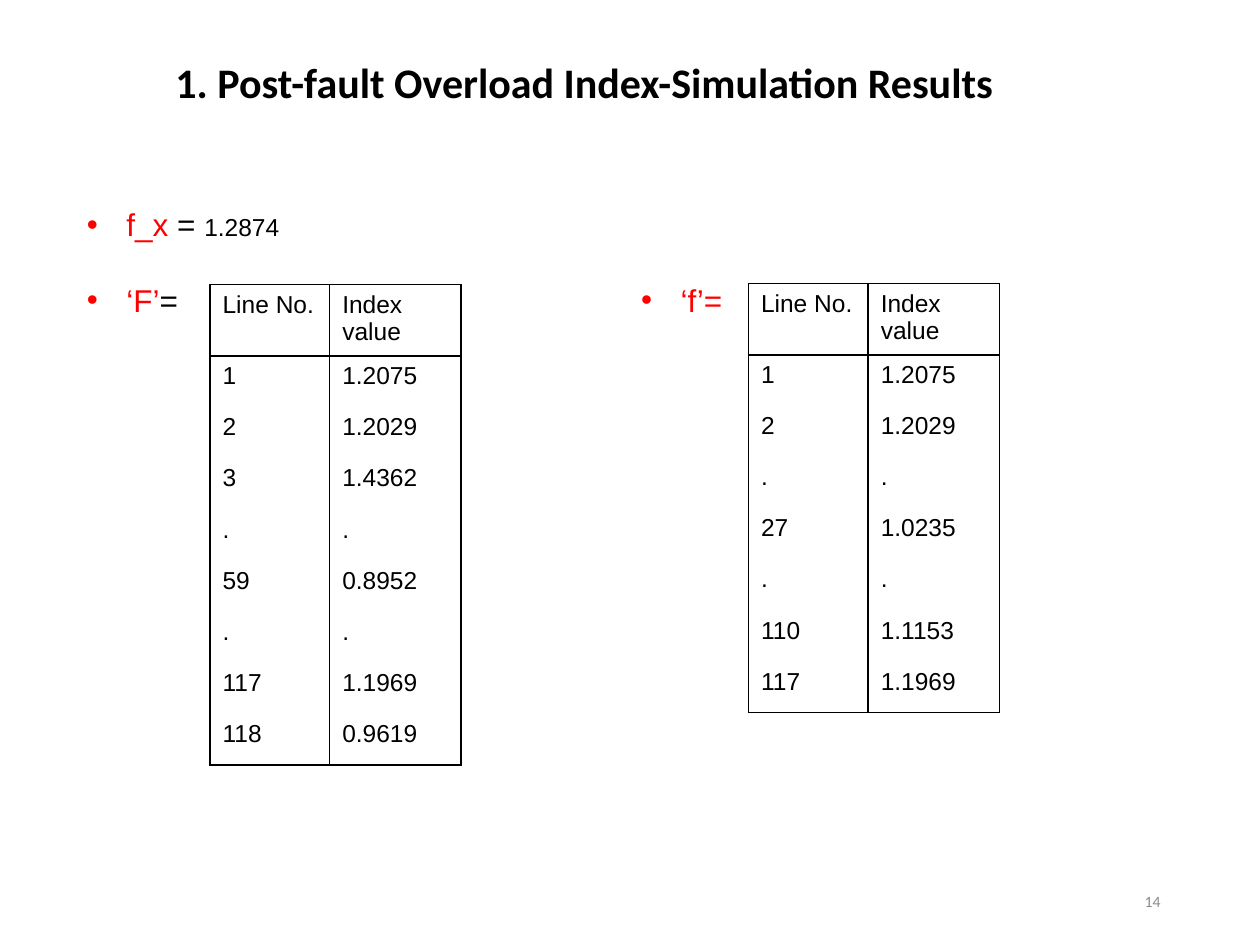
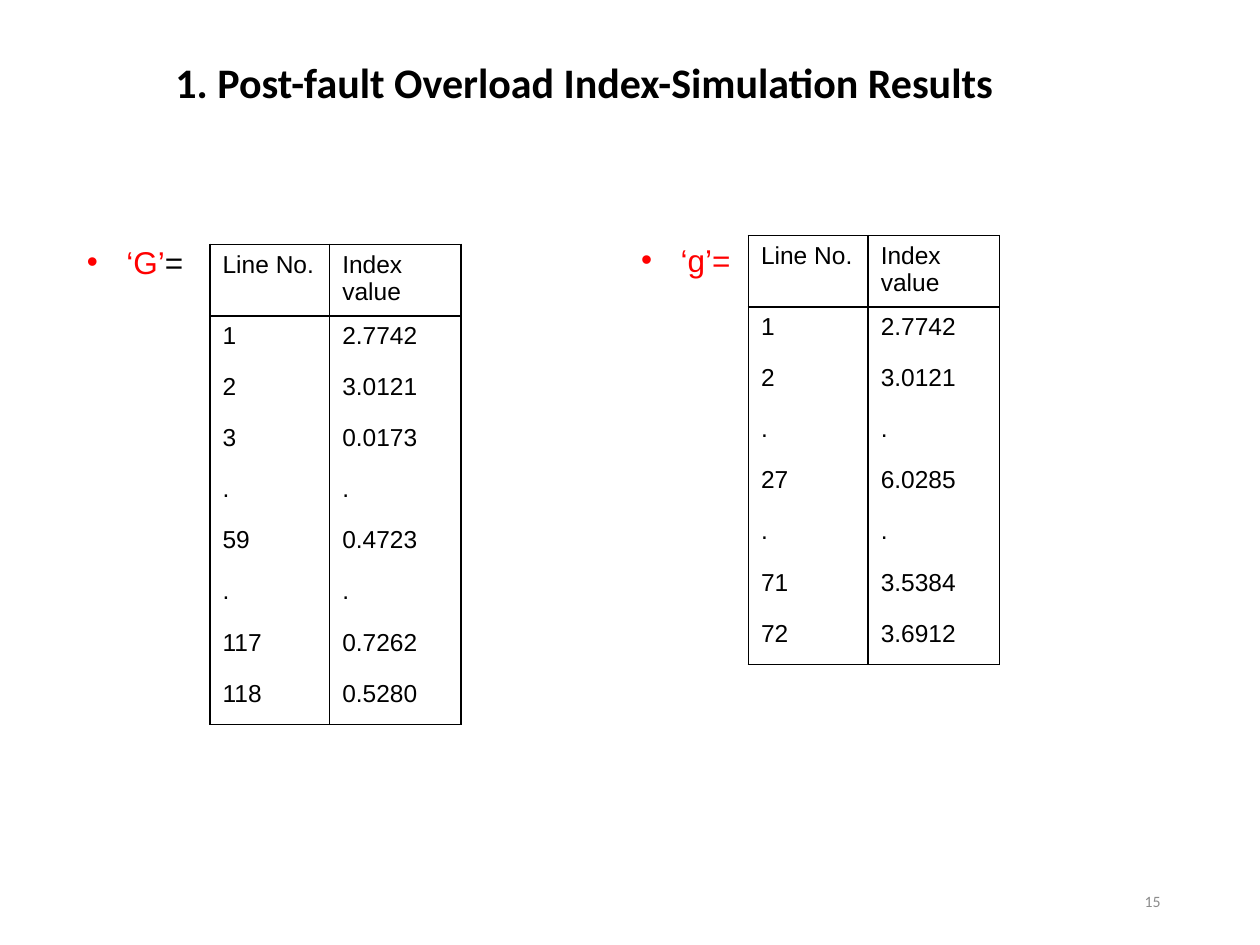
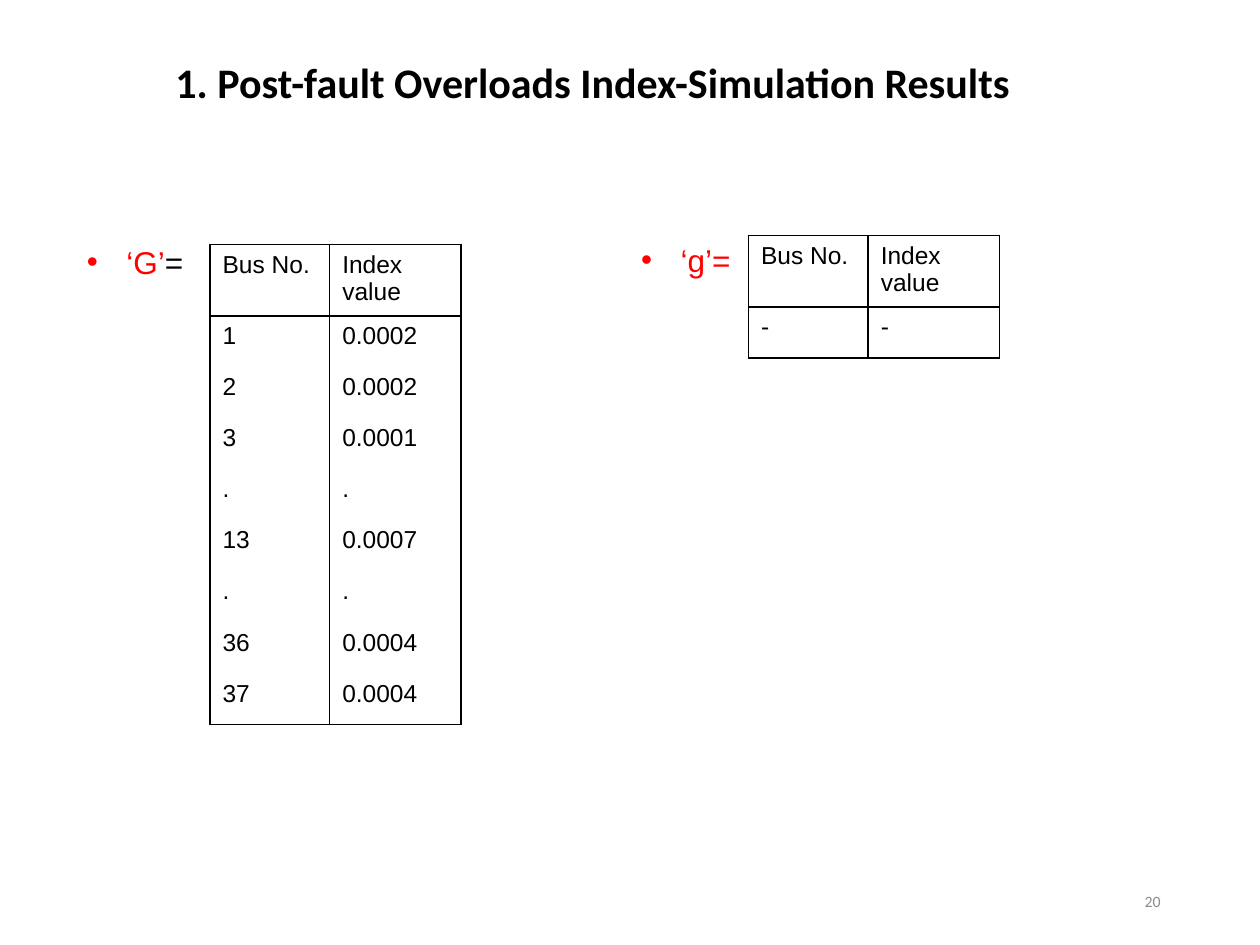
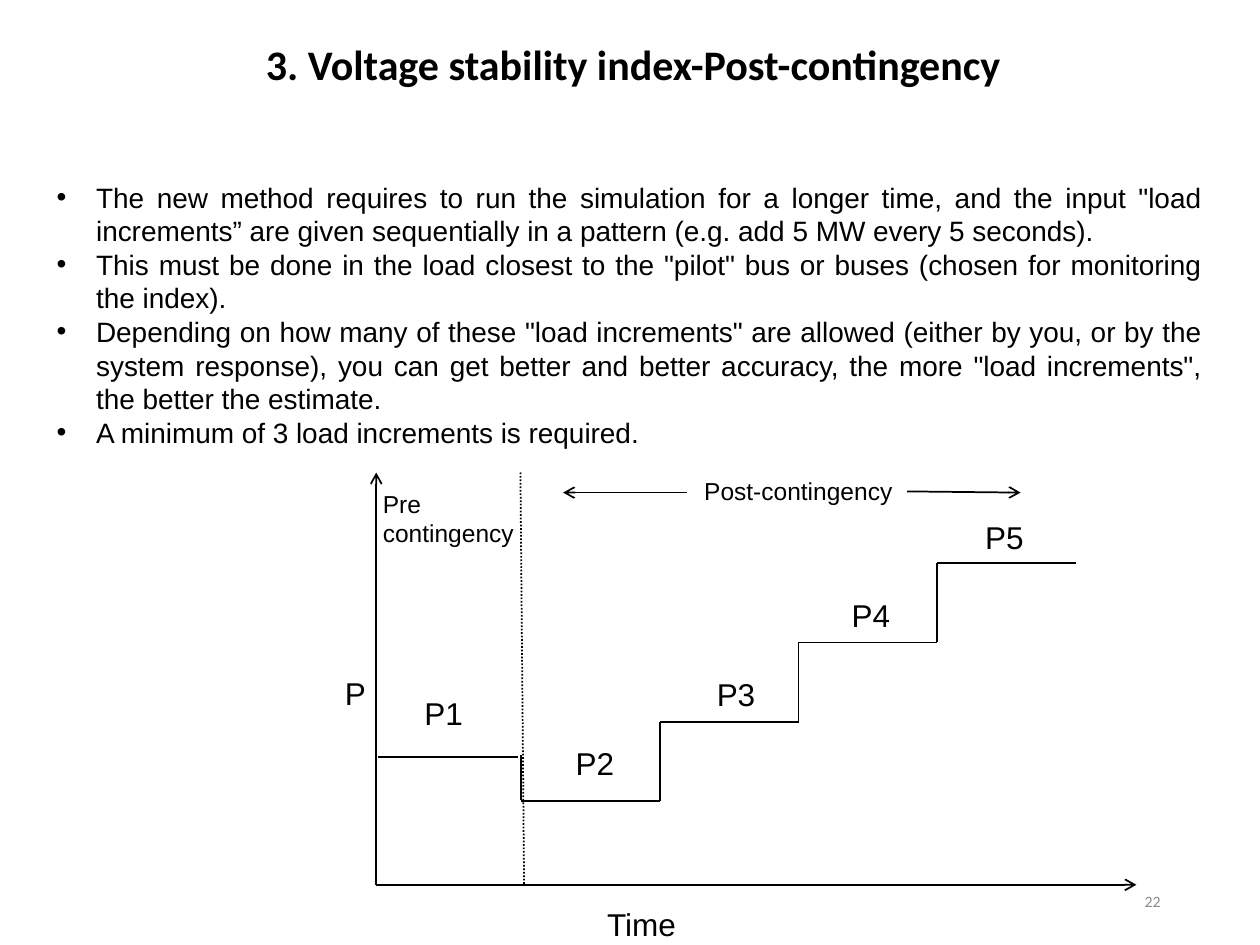
from lxml import etree
from pptx import Presentation
from pptx.dml.color import RGBColor
from pptx.enum import dml, shapes, text
from pptx.oxml import ns
from pptx.util import Pt

BLACK = RGBColor(0x00, 0x00, 0x00)
RED = RGBColor(0xFF, 0x00, 0x00)
GREY = RGBColor(0x8C, 0x8C, 0x8C)

BODY_FONT, TITLE_FONT = "Arial", "Calibri"
LINE_WIDTH = Pt(1)
INDENT = Pt(22.5)
ITEM_GAP = Pt(21.5)
COLUMN_WIDTHS = (68.4, 75)
HEADER_HEIGHT, ROW_HEIGHT = 40.6, 29.2


def put(obj, **values):
    for name, value in values.items():
        setattr(obj, name, value)


def place(sp, left, top, width, height):
    put(sp, left=Pt(left), top=Pt(top), width=Pt(width), height=Pt(height))


def style(font, size, color=BLACK, name=BODY_FONT, bold=False):
    put(font, size=Pt(size), name=name, bold=bold)
    font.color.rgb = color


def child(parent, tag, **attributes):
    return etree.SubElement(parent, ns.qn(tag), attributes)


class Deck:
    def __init__(self):
        self.prs = Presentation()
        put(self.prs, slide_width=Pt(720), slide_height=Pt(540))
        self.slide = None

    def start(self, title, number, left=93, top=31.7, width=596):
        """Add a slide with its title and page number."""
        self.slide = self.prs.slides.add_slide(self.prs.slide_layouts[1])
        sp = self.slide.shapes.title
        place(sp, left, top, width, 90)
        tf = sp.text_frame
        put(tf, text=title, word_wrap=True, auto_size=text.MSO_AUTO_SIZE.NONE,
            vertical_anchor=text.MSO_ANCHOR.TOP)
        p = tf.paragraphs[0]
        put(p, alignment=text.PP_ALIGN.LEFT, line_spacing=0.9)
        style(p.runs[0].font, 24, name=TITLE_FONT, bold=True)

        tf = self.label(str(number), 508.3, 500.4, 162, 28.8, 9, GREY, TITLE_FONT)
        put(tf, word_wrap=True, vertical_anchor=text.MSO_ANCHOR.MIDDLE)
        tf.paragraphs[0].alignment = text.PP_ALIGN.RIGHT

    def label(self, words, left, top, width, height=28.8, size=18,
              color=BLACK, name=BODY_FONT):
        sp = self.slide.shapes.add_textbox(Pt(left), Pt(top), Pt(width), Pt(height))
        tf = sp.text_frame
        put(tf, text=words, word_wrap=False)
        for p in tf.paragraphs:
            style(p.runs[0].font, size, color, name)
        return tf

    def bullet(self, p, runs):
        """Make p a bulleted paragraph of (text, size, colour) runs."""
        pPr = p._p.get_or_add_pPr()
        pPr.set("marL", str(INDENT))
        pPr.set("indent", str(-INDENT))
        child(pPr, "a:buFont", typeface=BODY_FONT)
        child(pPr, "a:buChar", char="•")
        p.space_before = Pt(0)
        for words, size, color in runs:
            r = p.add_run()
            r.text = words
            style(r.font, size, color)

    def body(self, items, left, top, width, height, gap=Pt(0)):
        sp = self.slide.placeholders[1]
        place(sp, left, top, width, height)
        tf = sp.text_frame
        put(tf, word_wrap=True, auto_size=text.MSO_AUTO_SIZE.NONE)
        for i, runs in enumerate(items):
            p = tf.add_paragraph() if i else tf.paragraphs[0]
            self.bullet(p, runs)
            p.alignment = text.PP_ALIGN.JUSTIFY
            if i:
                p.space_before = gap

    def side_bullet(self, words, left, top, width):
        sp = self.slide.shapes.add_textbox(Pt(left), Pt(top), Pt(width), Pt(28.8))
        sp.text_frame.word_wrap = False
        self.bullet(sp.text_frame.paragraphs[0], [(words, 18, RED)])

    def border(self, cell, sides):
        tcPr = cell._tc.get_or_add_tcPr()
        for side in "LRTB":
            ln = child(tcPr, f"a:ln{side}", w=str(LINE_WIDTH))
            if side in sides:
                child(child(ln, "a:solidFill"), "a:srgbClr", val=str(BLACK))
            else:
                child(ln, "a:noFill")

    def index_table(self, heading, rows, left, top):
        rows = [(heading, "Index value"), *rows]
        last = len(rows) - 1
        frame = self.slide.shapes.add_table(
            len(rows), 2, Pt(left), Pt(top), Pt(sum(COLUMN_WIDTHS)),
            Pt(HEADER_HEIGHT + last * ROW_HEIGHT))
        table = frame.table
        put(table, first_row=False, horz_banding=False)
        for column, width in zip(table.columns, COLUMN_WIDTHS):
            column.width = Pt(width)
        for i, values in enumerate(rows):
            table.rows[i].height = Pt(ROW_HEIGHT if i else HEADER_HEIGHT)
            sides = "LR" + "T" * (i <= 1) + "B" * (i in (0, last))
            for j, value in enumerate(values):
                cell = table.cell(i, j)
                cell.text = value
                style(cell.text_frame.paragraphs[0].runs[0].font, 14)
                self.border(cell, sides)
                cell.fill.background()

    def line(self, x1, y1, x2, y2, arrow=False, dash=None):
        sp = self.slide.shapes.add_connector(
            shapes.MSO_CONNECTOR.STRAIGHT, Pt(x1), Pt(y1), Pt(x2), Pt(y2))
        sp.line.color.rgb = BLACK
        put(sp.line, width=LINE_WIDTH, dash_style=dash)
        if arrow:
            child(sp.line._get_or_add_ln(), "a:tailEnd", type="arrow")
        child(sp._element.spPr, "a:effectLst")


DOTS = (".", ".")
INDEX_SLIDES = [
    dict(title="1. Post-fault Overload Index-Simulation Results", number=14,
         heading="Line No.", upper="F", lower="f", fx="1.2874",
         body_top=113.8, side=(157, 61.2), tops=(162.7, 162),
         upper_rows=[("1", "1.2075"), ("2", "1.2029"), ("3", "1.4362"), DOTS,
                     ("59", "0.8952"), DOTS, ("117", "1.1969"), ("118", "0.9619")],
         lower_rows=[("1", "1.2075"), ("2", "1.2029"), DOTS, ("27", "1.0235"),
                     DOTS, ("110", "1.1153"), ("117", "1.1969")]),
    dict(title="1. Post-fault Overload Index-Simulation Results", number=15,
         heading="Line No.", upper="G", lower="g", fx=None,
         body_top=135, side=(134, 66.2), tops=(139.7, 134.6),
         upper_rows=[("1", "2.7742"), ("2", "3.0121"), ("3", "0.0173"), DOTS,
                     ("59", "0.4723"), DOTS, ("117", "0.7262"), ("118", "0.5280")],
         lower_rows=[("1", "2.7742"), ("2", "3.0121"), DOTS, ("27", "6.0285"),
                     DOTS, ("71", "3.5384"), ("72", "3.6912")]),
    dict(title="1. Post-fault Overloads Index-Simulation Results", number=20,
         heading="Bus No.", upper="G", lower="g", fx=None,
         body_top=135, side=(134, 66.2), tops=(139.7, 134.6),
         upper_rows=[("1", "0.0002"), ("2", "0.0002"), ("3", "0.0001"), DOTS,
                     ("13", "0.0007"), DOTS, ("36", "0.0004"), ("37", "0.0004")],
         lower_rows=[("-", "-")]),
]

METHOD_NOTES = [
    'The new method requires to run the simulation for a longer time, and the input '
    '"load increments” are given sequentially in a pattern (e.g. add 5 MW every 5 seconds).',
    'This must be done in the load closest to the "pilot" bus or buses '
    '(chosen for monitoring the index).',
    'Depending on how many of these "load increments" are allowed (either by you, or by '
    'the system response), you can get better and better accuracy, the more '
    '"load increments", the better the estimate.',
    'A minimum of 3 load increments is required.',
]


def index_slide(deck, data):
    deck.start(data["title"], data["number"])
    items = [[(f"‘{data['upper']}’", 18, RED), ("=", 18, BLACK)]]
    height = 29
    if data["fx"]:
        items.insert(0, [("f_x", 18, RED), (" = ", 18, BLACK), (data["fx"], 14, BLACK)])
        height = 72
    deck.body(items, 42.5, data["body_top"], 630, height, ITEM_GAP)
    side_top, side_width = data["side"]
    deck.side_bullet(f"‘{data['lower']}’=", 359.3, side_top, side_width)
    upper_top, lower_top = data["tops"]
    deck.index_table(data["heading"], data["upper_rows"], 120, upper_top)
    deck.index_table(data["heading"], data["lower_rows"], 427.7, lower_top)


def stability_slide(deck):
    deck.start("3. Voltage stability index-Post-contingency", 22, 144.7, 21.6, 563)
    deck.body([[(note, 16, BLACK)] for note in METHOD_NOTES], 25.2, 99.4, 669, 162.7)

    # Axes
    origin_x, origin_y = 215, 505.6
    deck.line(origin_x, 315.4, origin_x, origin_y)
    deck.line(origin_x, 315.4, origin_x, 270, arrow=True)
    deck.line(541.4, origin_y, origin_x, origin_y)
    deck.line(541.4, origin_y, 649.4, origin_y, arrow=True)
    deck.label("P", 190, 381.6, 26.6)
    deck.label("Time", 339.8, 513.4, 54)

    # Load before the fault, then equal increments after it
    fault_x, low_y, step, rise = 297.7, 457.9, 79.3, 45.4
    deck.line(216, 432.7, 295.9, 432.7)
    deck.line(fault_x, 431.3, fault_x, 457.2)
    for i in range(4):
        x, y = fault_x + i * step, low_y - i * rise
        deck.line(x, y, x + step, y)
        if i:
            deck.line(x, y, x, y + rise)
    for words, left, top in [("P1", 235.4, 393.1), ("P2", 321.8, 421.9),
                             ("P3", 402.5, 382.3), ("P4", 479.5, 337),
                             ("P5", 555.8, 292.3)]:
        deck.label(words, left, top, 36.7)

    # Periods
    deck.line(297.4, 270, 299.5, origin_y, dash=dml.MSO_LINE.ROUND_DOT)
    deck.line(392.4, 281.5, 321.8, 281.5, arrow=True)
    deck.line(518.4, 280.8, 583.2, 281.5, arrow=True)
    deck.label("Post-contingency", 395.3, 268.6, 123.8, 24.5, 14)
    deck.label("Pre\ncontingency", 211.7, 275.8, 91.4, 41, 14)


def main():
    deck = Deck()
    for data in INDEX_SLIDES:
        index_slide(deck, data)
    stability_slide(deck)
    deck.prs.save("out.pptx")


if __name__ == "__main__":
    main()
